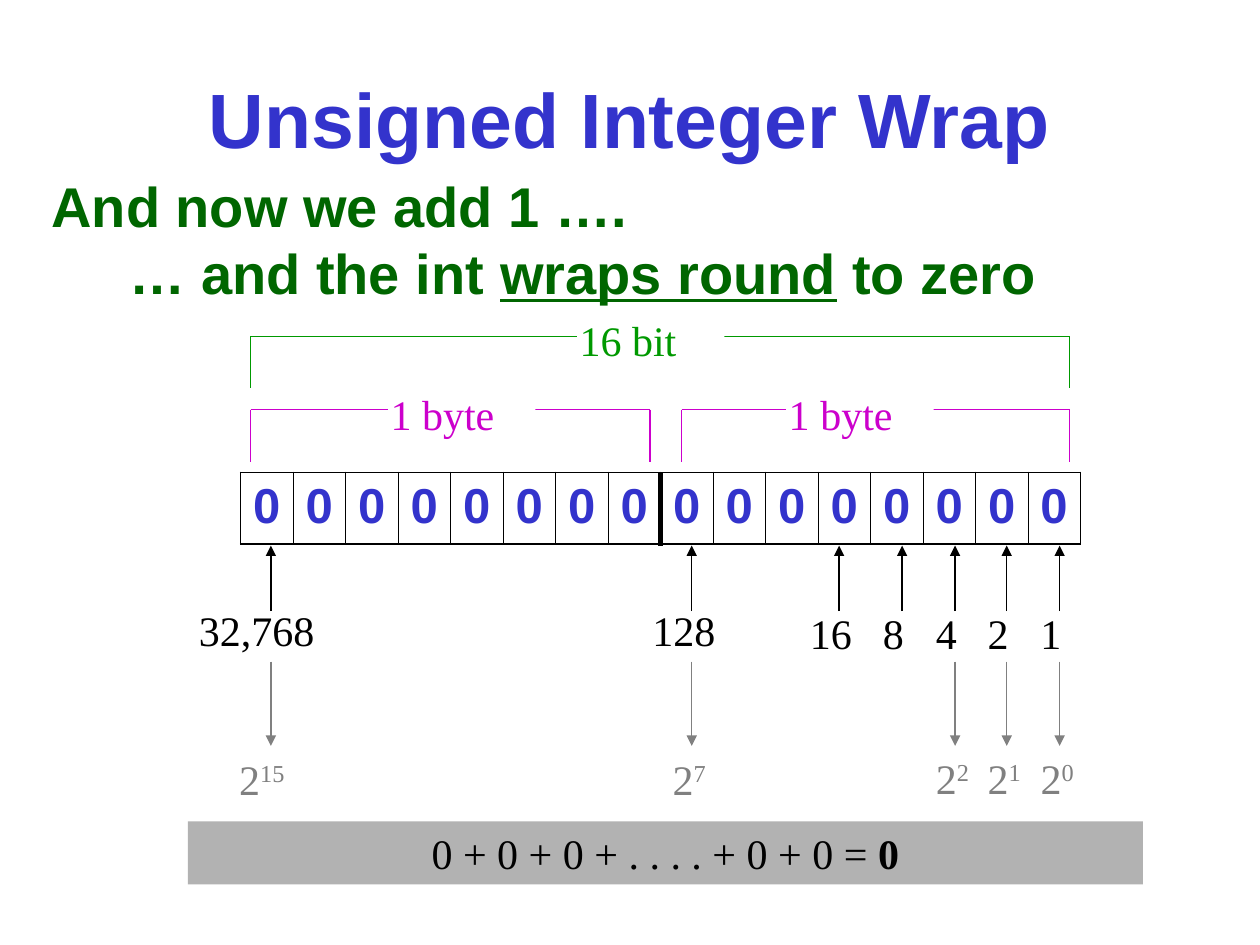
import pptx
import pptx.util
import pptx.dml.color
import pptx.enum.shapes
import pptx.enum.text
import pptx.oxml.ns
from lxml import etree
from dataclasses import dataclass

Inches, Pt = pptx.util.Inches, pptx.util.Pt
ALIGN = pptx.enum.text.PP_ALIGN


@dataclass(frozen=True)
class Theme:
    heading_font: str = "Arial"
    body_font: str = "Times New Roman"
    blue: str = "3333CC"
    dark_green: str = "006600"
    green: str = "009900"
    purple: str = "CC00CC"
    black: str = "000000"
    grey: str = "808080"
    band: str = "B2B2B2"
    white: str = "FFFFFF"
    title_size: int = 44
    lead_size: int = 32
    bit_size: int = 28
    label_size: int = 24
    thin: float = 0.75
    divider: float = 3


THEME = Theme()

# Content: a run is (text, style)
TITLE = "Unsigned Integer Wrap"
LEAD = [
    (0, [("And now we add 1 ….", "")]),
    (0.62, [("… and the int ", ""), ("wraps round", "underline"), (" to zero", "")]),
]
BITS = ["0"] * 16
SUM = [("0 + 0 + 0 + . . . . + 0 + 0 = ", ""), ("0", "bold")]

# Arrow x, value, value left, value top, value width, exponent, power left, power top
WEIGHTS = [
    (2.15, "32,768", 1.48, 4.75, 1.58, "15", 1.8, 5.93),
    (5.49, "128", 5.08, 4.75, 1, "7", 5.24, 5.93),
    (6.66, "16", 6.33, 4.77, 0.75, None, None, None),
    (7.16, "8", 6.91, 4.77, 0.5, None, None, None),
    (7.58, "4", 7.33, 4.77, 0.5, "2", 7.33, 5.92),
    (7.99, "2", 7.74, 4.77, 0.5, "1", 7.74, 5.92),
    (8.41, "1", 8.16, 4.77, 0.5, "0", 8.16, 5.92),
]
# Label, left, right, top, bottom, label left, colour
BRACKETS = [
    ("1 byte", 1.99, 5.16, 3.25, 3.67, 3.08, THEME.purple),
    ("1 byte", 5.41, 8.49, 3.25, 3.67, 6.24, THEME.purple),
    ("16 bit", 1.99, 8.49, 2.67, 3.08, 4.58, THEME.green),
]
TABLE_LEFT, TABLE_TOP, TABLE_WIDTH, TABLE_HEIGHT = 1.91, 3.75, 6.67, 0.57


def rgb(colour):
    return pptx.dml.color.RGBColor.from_string(colour)


def add_xml(parent, tag, **attributes):
    return etree.SubElement(parent, pptx.oxml.ns.qn(tag), attributes)


def set_font(para, name, size, colour, bold=False):
    para.font.name, para.font.size = name, Pt(size)
    para.font.bold, para.font.color.rgb = bold, rgb(colour)


def add_runs(para, runs):
    for text, style in runs:
        span = para.add_run()
        span.text = text
        if style == "underline":
            span.font.underline = True
        elif style == "bold":
            span.font.bold = True
        elif style == "super":
            span.font._element.set("baseline", "30000")


def add_label(page, left, top, width, runs, colour):
    box = page.shapes.add_textbox(Inches(left), Inches(top), Inches(width), Inches(0.5))
    box.text_frame.word_wrap = True
    para = box.text_frame.paragraphs[0]
    add_runs(para, runs)
    set_font(para, THEME.body_font, THEME.label_size, colour)


def add_panel(page, place, fill, runs, colour, align, insets):
    box = page.shapes.add_shape(
        pptx.enum.shapes.MSO_SHAPE.RECTANGLE, *map(Inches, place))
    box.shadow.inherit = False
    box.fill.solid()
    box.fill.fore_color.rgb = rgb(fill)
    box.line.fill.background()
    frame = box.text_frame
    frame.word_wrap = True
    frame.vertical_anchor = pptx.enum.text.MSO_ANCHOR.TOP
    frame.margin_left = frame.margin_right = Inches(insets[0])
    frame.margin_top = frame.margin_bottom = Inches(insets[1])
    para = frame.paragraphs[0]
    para.alignment = align
    add_runs(para, runs)
    set_font(para, THEME.body_font, THEME.label_size, colour)


def add_line(page, x1, y1, x2, y2, colour, width=THEME.thin, arrow=False):
    line = page.shapes.add_connector(
        pptx.enum.shapes.MSO_CONNECTOR.STRAIGHT, *map(Inches, (x1, y1, x2, y2)))
    line.line.color.rgb = rgb(colour)
    line.line.width = Pt(width)
    if arrow:
        add_xml(line.line._get_or_add_ln(), "a:tailEnd", type="triangle")
    add_xml(line._element.spPr, "a:effectLst")


def set_borders(cell, widths):
    properties = cell._tc.get_or_add_tcPr()
    for index, (side, width) in enumerate(zip("LRTB", widths)):
        border = add_xml(properties, "a:ln" + side, w=str(Pt(width)))
        fill = add_xml(border, "a:solidFill")
        add_xml(fill, "a:srgbClr", val=THEME.black)
        properties.insert(index, border)


def add_bits(page):
    table = page.shapes.add_table(
        1, len(BITS), Inches(TABLE_LEFT), Inches(TABLE_TOP),
        Inches(TABLE_WIDTH), Inches(TABLE_HEIGHT)).table
    table.first_row = table.horz_banding = False
    inner, outer = 0.45, 1.08
    last = len(BITS) - 1
    for index, bit in enumerate(BITS):
        table.columns[index].width = Inches(TABLE_WIDTH / len(BITS))
        cell = table.cell(0, index)
        cell.text = bit
        set_font(cell.text_frame.paragraphs[0], THEME.heading_font,
                 THEME.bit_size, THEME.blue, True)
        cell.fill.background()
        set_borders(cell, (outer if index == 0 else inner,
                           outer if index == last else inner, outer, outer))


def main():
    deck = pptx.Presentation()
    deck.slide_width, deck.slide_height = Inches(10), Inches(7.5)
    page = deck.slides.add_slide(deck.slide_layouts[5])

    # Title
    title = page.shapes.title
    title.left, title.top, title.width, title.height = map(Inches, (0, 0.31, 10, 1.25))
    title.text_frame.text = TITLE
    title.text_frame.vertical_anchor = pptx.enum.text.MSO_ANCHOR.MIDDLE
    para = title.text_frame.paragraphs[0]
    para.alignment = ALIGN.CENTER
    set_font(para, THEME.heading_font, THEME.title_size, THEME.blue, True)

    # Lead text
    box = page.shapes.add_textbox(*map(Inches, (0.31, 1.31, 8.75, 1.17)))
    box.text_frame.word_wrap = True
    for index, (indent, runs) in enumerate(LEAD):
        para = box.text_frame.add_paragraph() if index else box.text_frame.paragraphs[0]
        para._p.get_or_add_pPr().set("marL", str(Inches(indent)))
        add_runs(para, runs)
        set_font(para, THEME.heading_font, THEME.lead_size, THEME.dark_green, True)

    # Bits, with a divider between the two bytes
    add_bits(page)
    middle = TABLE_LEFT + TABLE_WIDTH / 2
    add_line(page, middle, TABLE_TOP, middle, 4.33, THEME.black, THEME.divider)

    # Place values and powers of two
    for x, value, left, top, width, exponent, power_left, power_top in WEIGHTS:
        add_label(page, left, top, width, [(value, "")], THEME.black)
        add_line(page, x, 4.85, x, 4.33, THEME.black, arrow=True)
        if exponent:
            add_label(page, power_left, power_top, 0.75,
                      [("2", ""), (exponent, "super")], THEME.grey)
            add_line(page, x, 5.25, x, 5.92, THEME.grey, arrow=True)

    # Brackets, each with a label over its top line
    for label, left, right, top, bottom, label_left, colour in BRACKETS:
        for x in (left, right):
            add_line(page, x, top, x, bottom, colour)
        add_line(page, left, top, right, top, colour)
        add_panel(page, (label_left, top - 0.17, 1.17, 0.4), THEME.white,
                  [(label, "")], colour, ALIGN.LEFT, (0.02, 0))

    # Sum
    add_panel(page, (1.49, 6.52, 7.58, 0.5), THEME.band, SUM, THEME.black,
              ALIGN.CENTER, (0.1, 0.05))

    deck.save("out.pptx")


if __name__ == "__main__":
    main()
